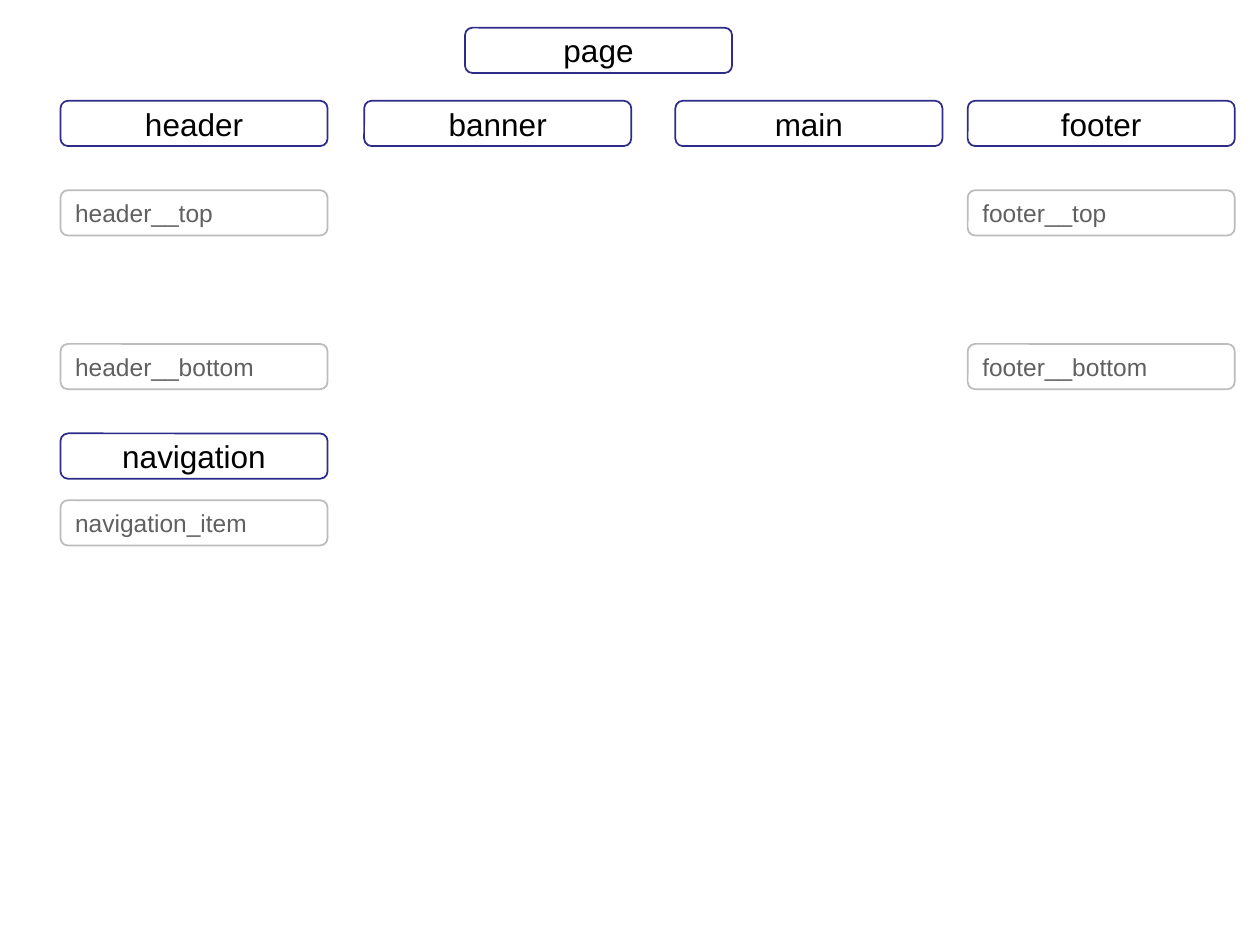
import pptx
import pptx.util
from pptx.dml.color import RGBColor
from pptx.enum.shapes import MSO_SHAPE
from pptx.enum.text import MSO_ANCHOR, PP_ALIGN
from pptx.util import Inches

COLORS = {
    "fill": "FFFFFF",
    "block_line": "2D2D89",
    "block_text": "000000",
    "element_line": "BCBCBC",
    "element_text": "606060",
}
BOX_WIDTH, BOX_HEIGHT = 2.12, 0.36
BLOCK_TOP = 0.8
ELEMENT_TOPS = {"top": 1.51, "bottom": 2.73}


def color(name):
    return RGBColor.from_string(COLORS[name])


def write_text(shape, text, *, size, text_color, align):
    frame = shape.text_frame
    frame.word_wrap = True
    frame.vertical_anchor = MSO_ANCHOR.MIDDLE
    para = frame.paragraphs[0]
    para.alignment = align
    span = para.add_run()
    span.text = text
    span.font.name = "Arial"
    span.font.size = pptx.util.Pt(size)
    span.font.color.rgb = color(text_color)


def add_box(page, left, top, text, kind, size, align):
    box = page.shapes.add_shape(
        MSO_SHAPE.ROUNDED_RECTANGLE,
        Inches(left), Inches(top), Inches(BOX_WIDTH), Inches(BOX_HEIGHT))
    box.adjustments[0] = 0.167
    box.shadow.inherit = False
    box.fill.solid()
    box.fill.fore_color.rgb = color("fill")
    box.line.color.rgb = color(f"{kind}_line")
    box.line.width = pptx.util.Pt(1)
    write_text(box, text, size=size, text_color=f"{kind}_text", align=align)


def add_block(page, left, top, text):
    add_box(page, left, top, text, "block", 18, PP_ALIGN.CENTER)


def add_element(page, left, top, text):
    add_box(page, left, top, text, "element", 14, PP_ALIGN.LEFT)


def add_section(page, left, name, has_elements):
    """A block with its top and bottom elements below it."""
    add_block(page, left, BLOCK_TOP, name)
    if has_elements:
        for part, top in ELEMENT_TOPS.items():
            add_element(page, left, top, f"{name}__{part}")


def add_navigation(page, left, top):
    add_block(page, left, top, "navigation")
    add_element(page, left, top + 0.53, "navigation_item")


def main():
    deck = pptx.Presentation()
    deck.slide_width, deck.slide_height = Inches(10), Inches(7.5)
    page = deck.slides.add_slide(deck.slide_layouts[6])

    # Root block
    add_block(page, 3.69, 0.22, "page")

    # Sections of the page
    for name, left, has_elements in (
            ("header", 0.48, True), ("banner", 2.89, False),
            ("main", 5.36, False), ("footer", 7.68, True)):
        add_section(page, left, name, has_elements)

    # Navigation under the header
    add_navigation(page, 0.48, 3.44)

    deck.save("out.pptx")


if __name__ == "__main__":
    main()
